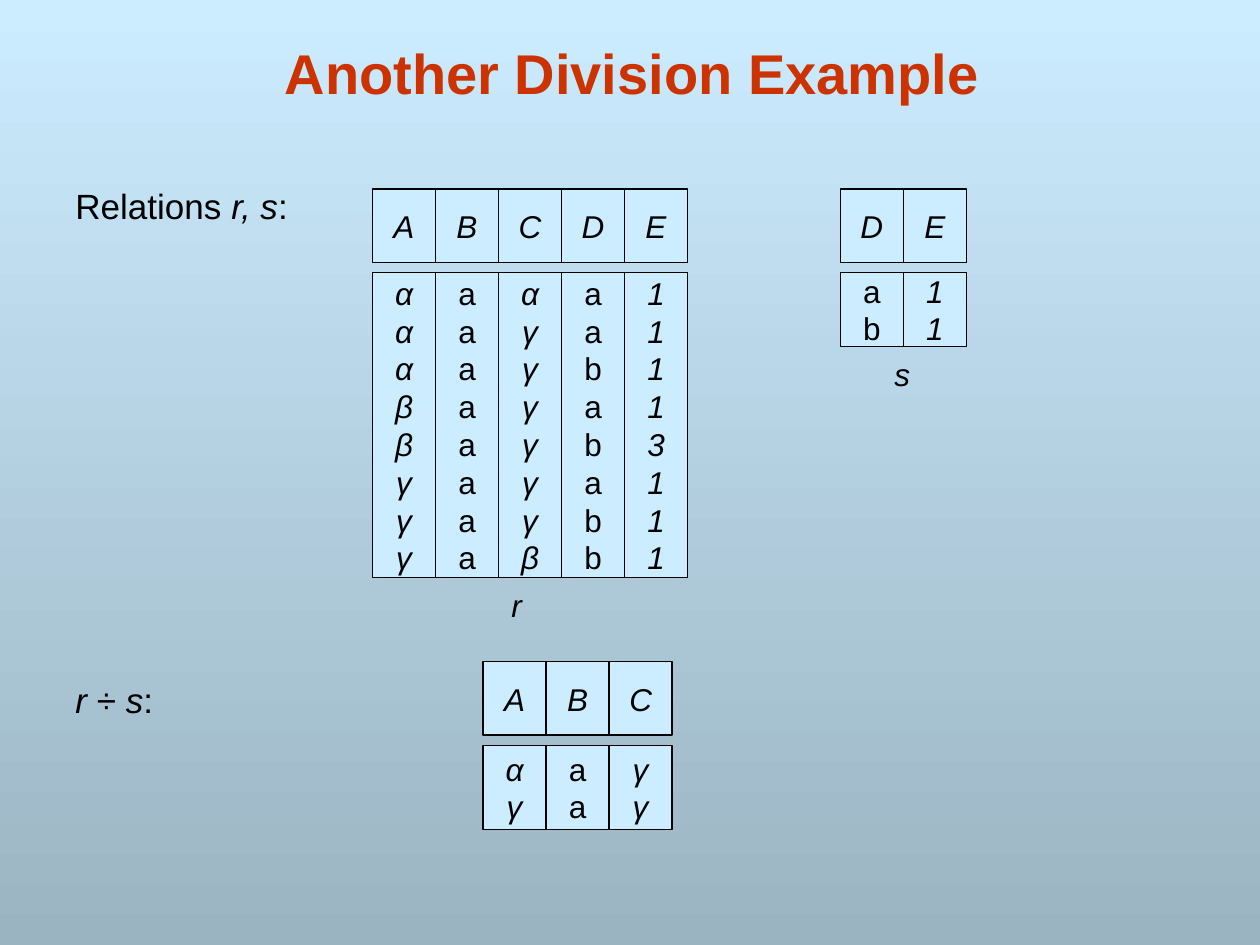
from pptx import Presentation
from pptx.dml.color import RGBColor
from pptx.enum.shapes import MSO_SHAPE
from pptx.enum.text import MSO_ANCHOR, MSO_AUTO_SIZE, PP_ALIGN
from pptx.util import Cm, Pt

RECTANGLE = MSO_SHAPE.RECTANGLE
TOP, MIDDLE, BOTTOM = MSO_ANCHOR.TOP, MSO_ANCHOR.MIDDLE, MSO_ANCHOR.BOTTOM
LEFT, CENTER = PP_ALIGN.LEFT, PP_ALIGN.CENTER
GROW = MSO_AUTO_SIZE.SHAPE_TO_FIT_TEXT

BLACK = RGBColor(0x00, 0x00, 0x00)
RED = RGBColor(0xCC, 0x33, 0x00)
PALE_BLUE = RGBColor(0xCC, 0xEC, 0xFF)
GREY_BLUE = RGBColor(0x9B, 0xB4, 0xC2)

FONT = "Arial"
COLUMN_WIDTH = 1.27
HEADER_HEIGHT = 1.48
BODY_OFFSET = 1.69
UPRIGHT_COLUMNS = "BD"

TITLE = "Another Division Example"
RELATIONS = [
    {"left": 7.51, "top": 3.81, "body_height": 6.14, "columns": [
        ("A", "αααββγγγ"), ("B", "aaaaaaaa"), ("C", "αγγγγγγβ"),
        ("D", "aabababb"), ("E", "11113111")]},
    {"left": 16.94, "top": 3.81, "body_height": 1.48, "columns": [
        ("D", "ab"), ("E", "11")]},
    {"left": 9.74, "top": 13.34, "body_height": 1.69, "columns": [
        ("A", "αγ"), ("B", "aa"), ("C", "γγ")]},
]
HEADINGS = [
    ((1.27, 3.6, 5.92, 0.91), [("Relations ", False), ("r, s", True), (":", False)]),
    ((1.27, 13.55, 3.6, 0.91), [("r ", True), ("÷ ", False), ("s", True), (":", False)]),
]
CAPTIONS = [((10.06, 11.68, 0.71, 1.02), "r"), ((17.78, 7.02, 0.81, 1.02), "s")]


def write(shape, paragraphs, size, align, anchor, wrap, color=BLACK, bold=False):
    frame = shape.text_frame
    frame.word_wrap = wrap
    frame.vertical_anchor = anchor
    for index, runs in enumerate(paragraphs):
        paragraph = frame.add_paragraph() if index else frame.paragraphs[0]
        paragraph.alignment = align
        for text, italic in runs:
            run = paragraph.add_run()
            run.text = text
            run.font.name = FONT
            run.font.size = Pt(size)
            run.font.bold = bold
            run.font.italic = italic
            run.font.color.rgb = color


def add_cell(slide, left, top, height, values, italic):
    cell = slide.shapes.add_shape(
        RECTANGLE, Cm(left), Cm(top), Cm(COLUMN_WIDTH), Cm(height))
    cell.shadow.inherit = False
    cell.fill.solid()
    cell.fill.fore_color.rgb = PALE_BLUE
    cell.line.color.rgb = BLACK
    cell.line.width = Pt(0.75)
    cell.text_frame.margin_top = cell.text_frame.margin_bottom = 0
    write(cell, [[(value, italic)] for value in values], 18, CENTER, MIDDLE, False)


def add_relation(slide, relation):
    top = relation["top"]
    for index, (name, values) in enumerate(relation["columns"]):
        left = relation["left"] + index * COLUMN_WIDTH
        add_cell(slide, left, top, HEADER_HEIGHT, name, True)
        add_cell(slide, left, top + BODY_OFFSET, relation["body_height"], values,
                 name not in UPRIGHT_COLUMNS)


def main():
    presentation = Presentation()
    presentation.slide_width = Cm(25.4)
    presentation.slide_height = Cm(19.05)
    slide = presentation.slides.add_slide(presentation.slide_layouts[5])

    background = slide.background.fill
    background.gradient()
    background.gradient_angle = 270
    for stop, color, position in zip(
            background.gradient_stops, (PALE_BLUE, GREY_BLUE), (0, 1)):
        stop.color.rgb = color
        stop.position = position

    title = slide.shapes.title
    title.left, title.top, title.width, title.height = map(Cm, (1.53, 0.55, 22.43, 1.7))
    write(title, [[(TITLE, False)]], 32, CENTER, BOTTOM, True, RED, True)

    for relation in RELATIONS:
        add_relation(slide, relation)
    for box, runs in HEADINGS:
        heading = slide.shapes.add_textbox(*map(Cm, box))
        write(heading, [runs], 20, LEFT, TOP, True)
    for box, name in CAPTIONS:
        caption = slide.shapes.add_textbox(*map(Cm, box))
        write(caption, [[(name, True)]], 18, CENTER, MIDDLE, False)
        caption.text_frame.auto_size = GROW

    presentation.save("out.pptx")


if __name__ == "__main__":
    main()
